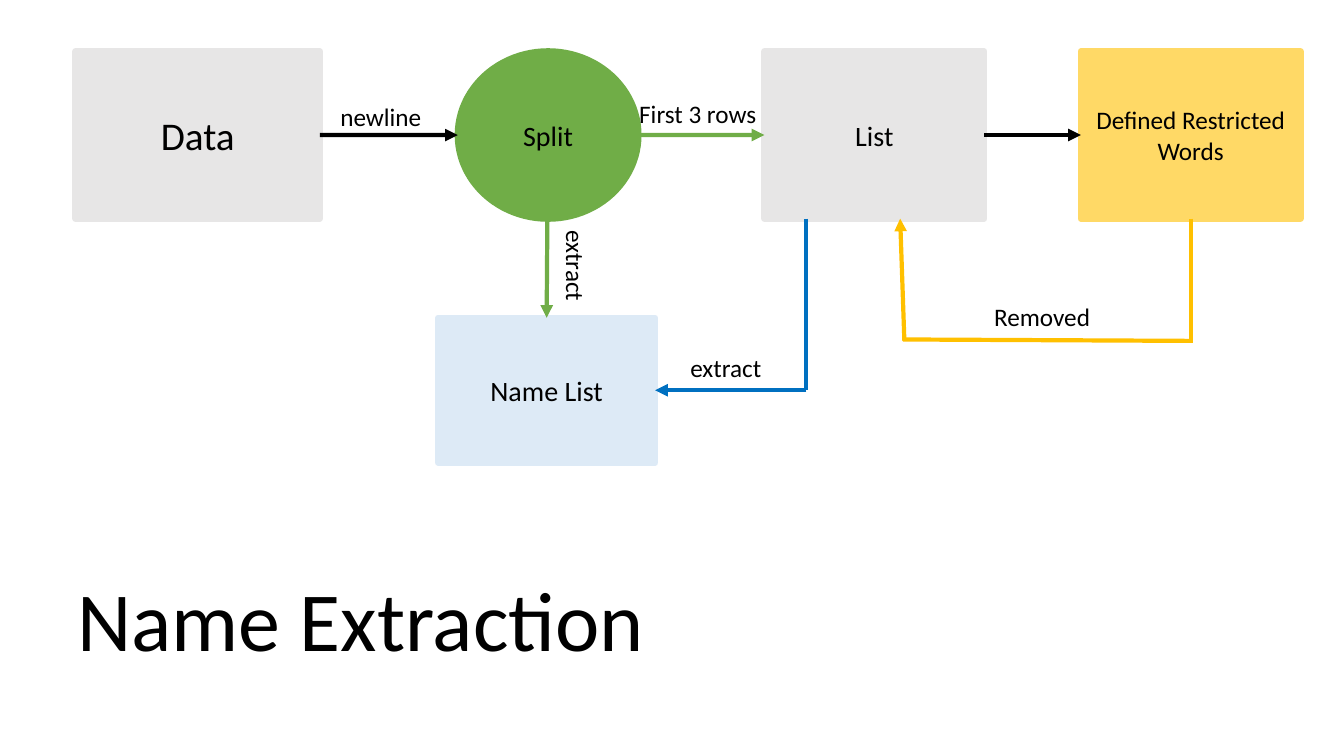
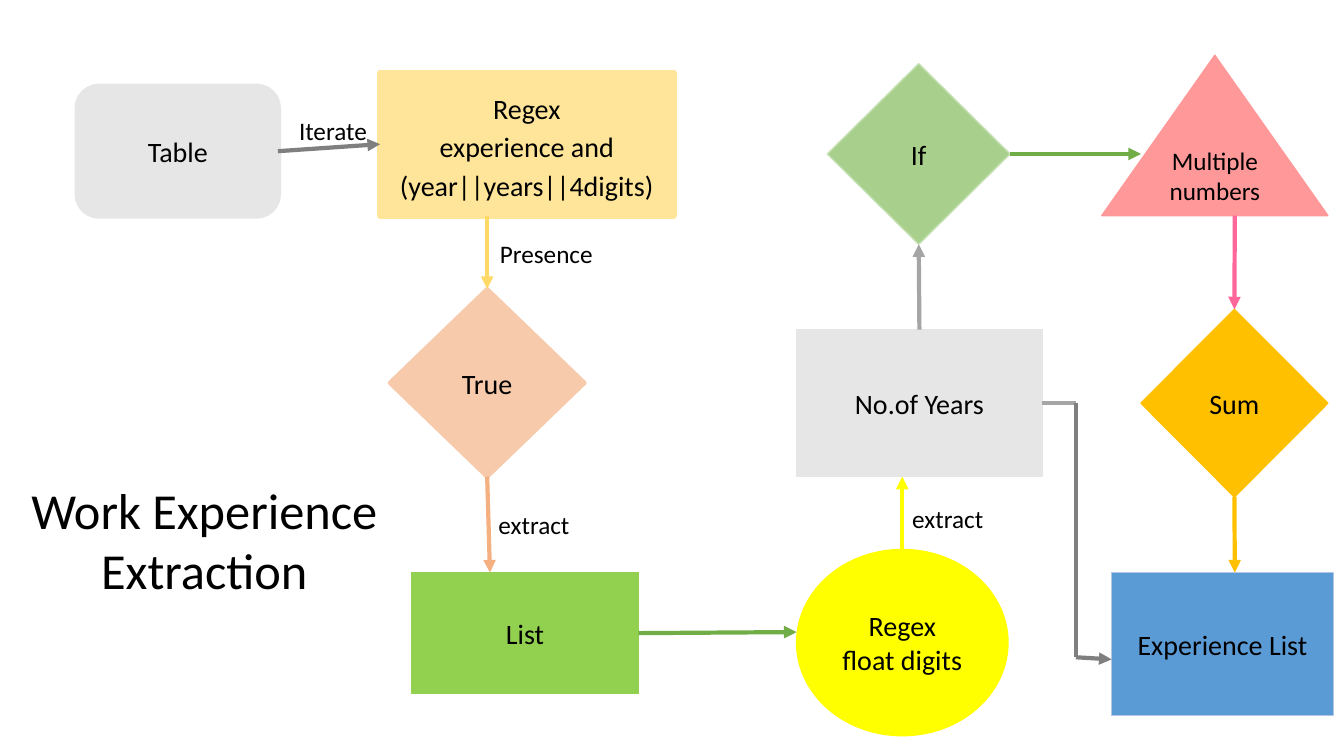
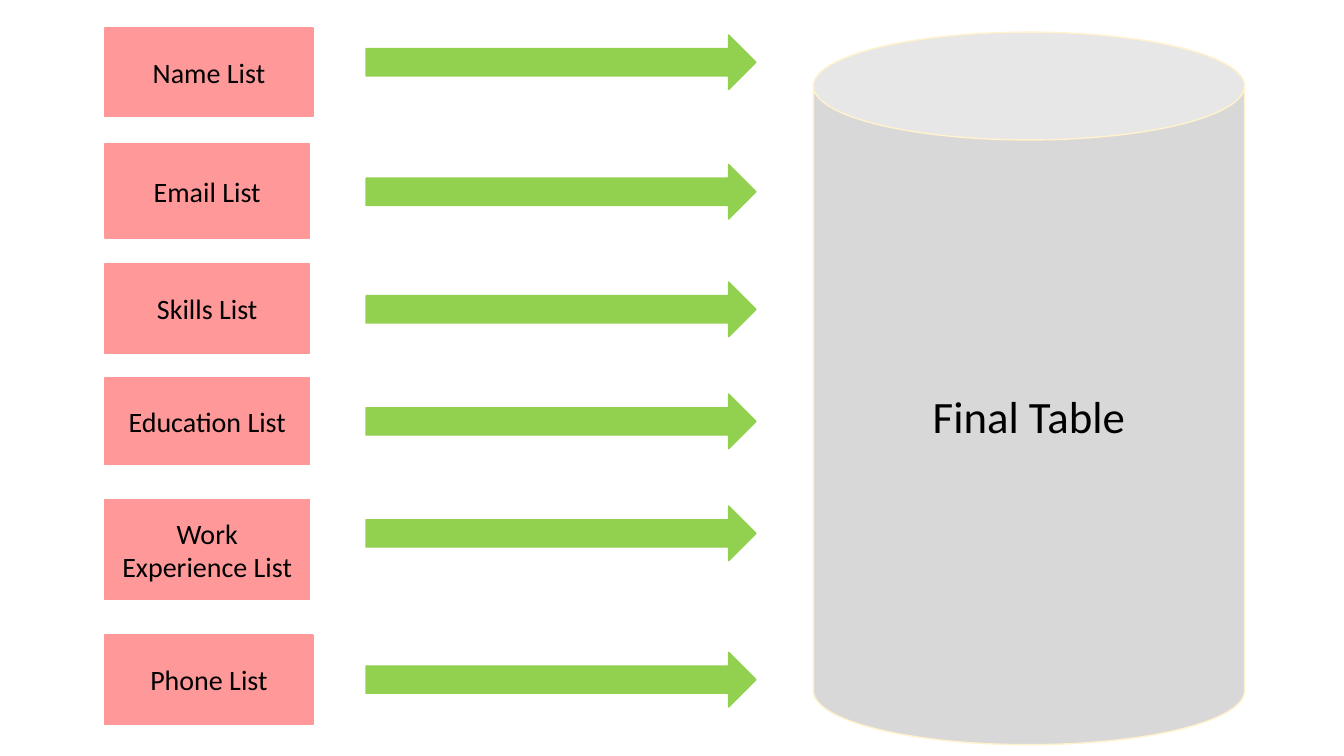
from dataclasses import dataclass
from typing import NamedTuple

from lxml.etree import SubElement
from pptx import Presentation
from pptx.dml.color import RGBColor
from pptx.enum.shapes import MSO_CONNECTOR as Line, MSO_SHAPE as Shape
from pptx.enum.text import MSO_ANCHOR as Anchor, MSO_AUTO_SIZE as Fit, PP_ALIGN as Align
from pptx.oxml.ns import qn
from pptx.util import Pt

TOP, LEFT, BOTTOM, RIGHT = range(4)


@dataclass(frozen=True)
class Theme:
    font: str = "Calibri"
    label_size: int = 18
    node_size: int = 20
    data_size: int = 28
    store_size: int = 32
    heading_size: int = 36
    title_size: int = 60
    thin: float = 1
    link: float = 3
    thick: float = 4.5
    ink: str = "000000"
    silver: str = "E7E6E6"
    light_grey: str = "D8D8D8"
    mid_grey: str = "A5A5A5"
    dark_grey: str = "7F7F7F"
    green: str = "70AD47"
    lime: str = "92D050"
    sage: str = "A8D08C"
    pale_sage: str = "C4E0B2"
    pale_blue: str = "DDEAF6"
    blue: str = "0070C0"
    sky: str = "5B9BD5"
    periwinkle: str = "B3C6E7"
    gold: str = "FFD966"
    pale_gold: str = "FEE599"
    cream: str = "FFF2CC"
    amber: str = "FFC000"
    yellow: str = "FFFF00"
    peach: str = "F7CAAC"
    orange: str = "F4B081"
    salmon: str = "FF9999"
    pink: str = "FF6699"


THEME = Theme()


class Port(NamedTuple):
    node: object
    side: int


def rgb(colour):
    return RGBColor.from_string(colour)


def write(frame, text, size=THEME.node_size, align=Align.CENTER, anchor=Anchor.MIDDLE,
          spacing=None):
    frame.word_wrap = True
    frame.vertical_anchor = anchor
    frame.text = text
    for paragraph in frame.paragraphs:
        paragraph.alignment = align
        paragraph.line_spacing = spacing
        for run in paragraph.runs:
            run.font.name = THEME.font
            run.font.size = Pt(size)
            run.font.color.rgb = rgb(THEME.ink)


def add_node(slide, kind, box, fill, text="", border=THEME.thin, outline=None, **text_format):
    node = slide.shapes.add_shape(kind, *map(Pt, box))
    node.shadow.inherit = False
    node.fill.solid()
    node.fill.fore_color.rgb = rgb(fill)
    node.line.color.rgb = rgb(outline or fill)
    node.line.width = Pt(border)
    if text:
        write(node.text_frame, text, **text_format)
    return node


def add_label(slide, box, text, size=THEME.label_size, align=Align.LEFT, rotation=0):
    label = slide.shapes.add_textbox(*map(Pt, box))
    label.rotation = rotation
    write(label.text_frame, text, size=size, align=align, anchor=Anchor.TOP)
    label.text_frame.auto_size = Fit.SHAPE_TO_FIT_TEXT


def add_link(slide, start, end, colour, arrow=True):
    points = [(0, 0) if isinstance(place, Port) else place for place in (start, end)]
    link = slide.shapes.add_connector(Line.STRAIGHT, *(Pt(n) for point in points for n in point))
    if isinstance(start, Port):
        link.begin_connect(*start)
    if isinstance(end, Port):
        link.end_connect(*end)
    link.line.color.rgb = rgb(colour)
    link.line.width = Pt(THEME.link)
    properties = link.element.spPr
    if arrow:
        SubElement(properties.find(qn("a:ln")), qn("a:tailEnd"), type="triangle")
    SubElement(properties, qn("a:effectLst"))


def build_name_extraction(slide):
    row_top, row_height, row_middle = 36.7, 119.5, 96.5

    def add_step(kind, left, width, fill, text, size=THEME.node_size):
        return add_node(slide, kind, (left, row_top, width, row_height), fill, text,
                        border=THEME.thick, size=size)

    data = add_step(Shape.RECTANGLE, 54, 174.5, THEME.silver, "Data", THEME.data_size)
    add_step(Shape.OVAL, 327, 129, THEME.green, "Split")
    rows = add_step(Shape.RECTANGLE, 546, 157, THEME.silver, "List")
    restricted = add_step(Shape.RECTANGLE, 772, 157, THEME.gold, "Defined Restricted Words",
                          THEME.label_size)
    names = add_node(slide, Shape.RECTANGLE, (313, 227, 155, 103.5), THEME.pale_blue,
                     "Name List", border=THEME.thick)

    row_bottom = row_top + row_height
    add_link(slide, Port(data, RIGHT), (327, row_middle), THEME.ink)
    add_link(slide, (391, row_bottom), Port(names, TOP), THEME.green)
    add_link(slide, (455.5, row_middle), Port(rows, LEFT), THEME.green)
    add_link(slide, Port(rows, RIGHT), Port(restricted, LEFT), THEME.ink)
    add_link(slide, Port(restricted, BOTTOM), (850.5, 243.5), THEME.amber, arrow=False)
    add_link(slide, (852, 243.5), (645, 242.5), THEME.amber, arrow=False)
    add_link(slide, (646, 243.5), (643, row_bottom), THEME.amber)
    add_link(slide, (576, row_bottom), (576, 278.75), THEME.blue, arrow=False)
    add_link(slide, (576, 278.75), Port(names, RIGHT), THEME.blue)

    add_label(slide, (236, 68.5, 85, 29), "newline")
    add_label(slide, (366.5, 188, 90, 29), "extract", rotation=90)
    add_label(slide, (449.5, 67, 146, 29), "First 3 rows")
    add_label(slide, (703, 212, 149, 29), "Removed")
    add_label(slide, (486, 248, 77, 29), "extract")
    add_label(slide, (46, 402, 423.5, 80), "Name Extraction",
              size=THEME.title_size, align=Align.CENTER)


def build_work_experience(slide):
    table = add_node(slide, Shape.ROUNDED_RECTANGLE, (55.5, 62, 143, 92), THEME.silver,
                     "Table", border=THEME.thick)
    pattern = add_node(slide, Shape.RECTANGLE, (271.5, 52, 209.5, 102), THEME.pale_gold,
                       "Regex\nexperience and\n(year||years||4digits)",
                       border=THEME.thick, spacing=1.15)
    found = add_node(slide, Shape.DIAMOND, (278.5, 206.5, 139, 134), THEME.peach, "True",
                     border=THEME.link)
    matches = add_node(slide, Shape.RECTANGLE, (294, 409, 162, 86.5), THEME.lime, "List")
    add_node(slide, Shape.OVAL, (569, 392.5, 151, 133), THEME.yellow, "Regex\nfloat digits")
    years = add_node(slide, Shape.RECTANGLE, (569, 235.5, 175.5, 105), THEME.silver,
                     "No.of Years")
    add_node(slide, Shape.ISOSCELES_TRIANGLE, (787, 39.5, 161.5, 114.5), THEME.salmon,
             "Multiple numbers", size=THEME.label_size)
    check = add_node(slide, Shape.DIAMOND, (591, 45.5, 130.5, 129), THEME.sage, "If",
                     outline=THEME.pale_sage)
    total = add_node(slide, Shape.DIAMOND, (815, 221, 133.5, 134), THEME.amber, "Sum")
    add_node(slide, Shape.RECTANGLE, (794, 409, 158.5, 102), THEME.sky, "Experience List",
             outline=THEME.periwinkle)

    add_link(slide, Port(table, RIGHT), Port(pattern, LEFT), THEME.dark_grey)
    add_link(slide, (348, 154), Port(found, TOP), THEME.gold)
    add_link(slide, Port(found, BOTTOM), (350, 409), THEME.orange)
    add_link(slide, Port(matches, RIGHT), (569, 451.5), THEME.green)
    add_link(slide, (644.5, 392.5), (644.5, 340.5), THEME.yellow)
    add_link(slide, Port(years, TOP), Port(check, BOTTOM), THEME.mid_grey)
    add_link(slide, Port(check, RIGHT), (815, 110), THEME.green)
    add_link(slide, (882, 154), Port(total, TOP), THEME.pink)
    add_link(slide, Port(total, BOTTOM), (882, 409), THEME.amber)
    add_link(slide, Port(years, RIGHT), (768.5, 288), THEME.mid_grey, arrow=False)
    add_link(slide, (768.5, 288), (768.5, 469.5), THEME.dark_grey, arrow=False)
    add_link(slide, (768.5, 469.5), (794, 471), THEME.dark_grey)

    add_label(slide, (206.5, 79, 85, 29), "Iterate")
    add_label(slide, (350, 166.5, 107, 29), "Presence")
    add_label(slide, (349, 360, 81, 29), "extract")
    add_label(slide, (644.5, 356, 71, 29), "extract")
    add_label(slide, (8, 338.5, 276, 94), "Work Experience Extraction",
              size=THEME.heading_size, align=Align.CENTER)


def build_final_table(slide):
    sources = [
        ("Name List", 20, 148.5, 63, 25),
        ("Email List", 103, 146, 67, 117.5),
        ("Skills List", 188.5, 146, 64, 201.5),
        ("Education List", 270, 146, 62, 281.5),
        ("Work Experience List", 357, 146, 71.5, 361.5),
        ("Phone List", 453.5, 148.5, 64, 466),
    ]
    for text, top, width, height, arrow_top in sources:
        add_node(slide, Shape.RECTANGLE, (75, top, width, height), THEME.salmon, text)
        add_node(slide, Shape.RIGHT_ARROW, (261.5, arrow_top, 278.5, 39), THEME.lime)
    add_node(slide, Shape.CAN, (581, 23, 308, 509), THEME.light_grey, "Final Table",
             outline=THEME.cream, size=THEME.store_size)


def main():
    deck = Presentation()
    deck.slide_width, deck.slide_height = Pt(960), Pt(540)
    blank = deck.slide_layouts[6]
    for build in (build_name_extraction, build_work_experience, build_final_table):
        build(deck.slides.add_slide(blank))
    deck.save("out.pptx")


if __name__ == "__main__":
    main()
